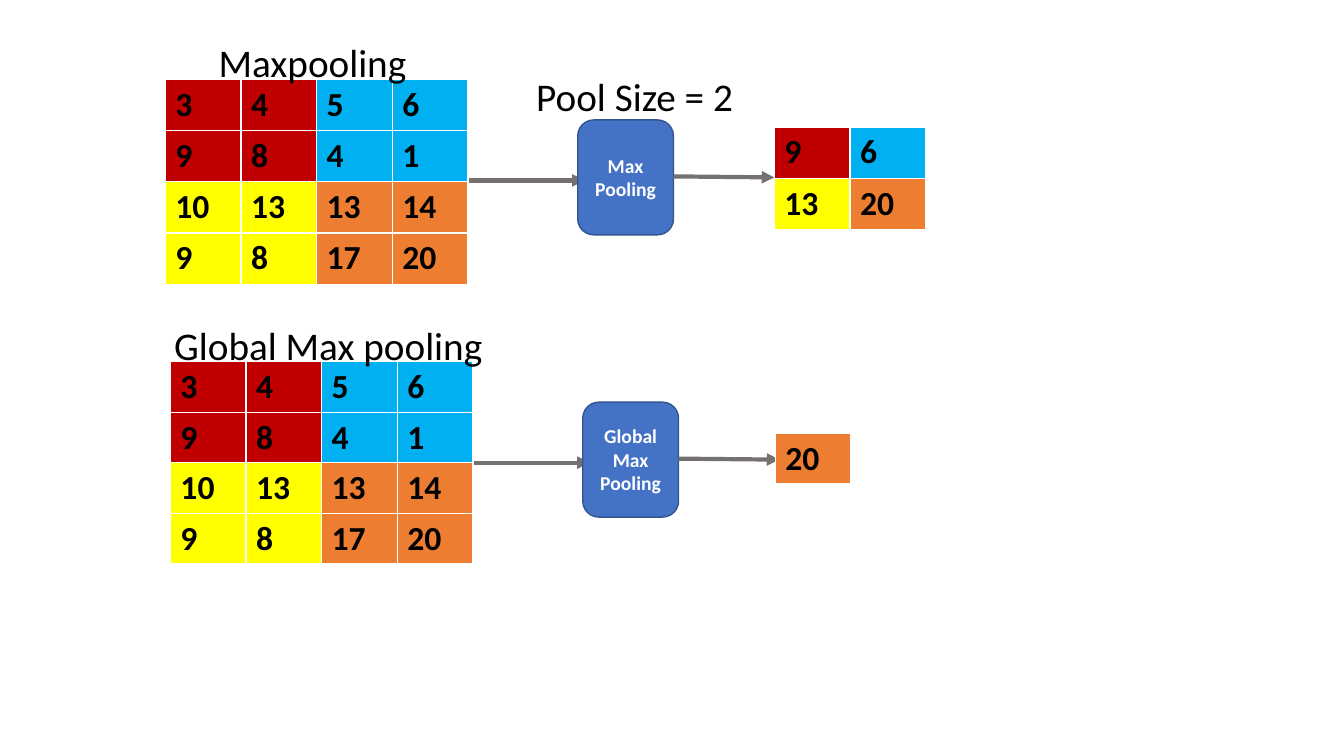
"""Build a slide that compares max pooling with global max pooling."""
from dataclasses import dataclass

from pptx import Presentation
from pptx.dml.color import RGBColor
from pptx.enum.shapes import MSO_CONNECTOR as Connector, MSO_SHAPE as Shape
from pptx.enum.text import MSO_ANCHOR as Anchor, PP_ALIGN as Align
from pptx.oxml.ns import qn
from pptx.slide import Slide
from pptx.text.text import TextFrame
from pptx.util import Inches, Pt


@dataclass(frozen=True)
class Theme:
    font: str = "Calibri"
    heading_size: int = 28
    cell_size: int = 24
    operation_size: int = 14
    text: str = "000000"
    operation_text: str = "FFFFFF"
    operation_fill: str = "4472C4"
    operation_line: str = "325491"
    arrow: str = "767171"
    top_left: str = "C00000"
    top_right: str = "00B0F0"
    bottom_left: str = "FFFF00"
    bottom_right: str = "ED7D31"


@dataclass(frozen=True)
class Heading:
    text: str
    left: float
    top: float
    width: float


@dataclass(frozen=True)
class Matrix:
    values: list[list[int]]
    fills: list[list[str]]
    left: float
    top: float


@dataclass(frozen=True)
class Stage:
    left: float
    top: float
    operation: str
    result: Matrix
    headings: list[Heading]


THEME = Theme()
CELL_WIDTH, CELL_HEIGHT = 0.75, 0.5
POOL_SIZE = 2
FEATURES = [[3, 4, 5, 6], [9, 8, 4, 1], [10, 13, 13, 14], [9, 8, 17, 20]]
WINDOW_FILLS = [[THEME.top_left, THEME.top_right],
                [THEME.bottom_left, THEME.bottom_right]]
FEATURE_FILLS = [[WINDOW_FILLS[row // POOL_SIZE][column // POOL_SIZE]
                  for column in range(4)] for row in range(4)]

STAGES = [
    Stage(1.64, 0.79, "Max Pooling",
          Matrix([[9, 6], [13, 20]], WINDOW_FILLS, 7.68, 1.26),
          [Heading("Pool Size = 2", 5.22, 0.67, 2.65),
           Heading("Maxpooling", 2.07, 0.33, 2.09)]),
    Stage(1.69, 3.59, "Global Max Pooling",
          Matrix([[20]], [[THEME.bottom_right]], 7.69, 4.3),
          [Heading("Global Max pooling", 1.63, 3.14, 3.64)]),
]


def write(frame: TextFrame, text: str, *, size: int, color: str = THEME.text,
          bold: bool = False, align: Align = Align.LEFT) -> None:
    """Put formatted text into a frame."""
    paragraph = frame.paragraphs[0]
    paragraph.alignment = align
    run = paragraph.add_run()
    run.text = text
    run.font.name = THEME.font
    run.font.size = Pt(size)
    run.font.bold = bold
    run.font.color.rgb = RGBColor.from_string(color)


def draw_heading(slide: Slide, heading: Heading) -> None:
    """Draw a heading above its part of the diagram."""
    label = slide.shapes.add_textbox(Inches(heading.left), Inches(heading.top),
                                     Inches(heading.width), Inches(0.57))
    label.text_frame.word_wrap = True
    write(label.text_frame, heading.text, size=THEME.heading_size)


def draw_matrix(slide: Slide, matrix: Matrix) -> None:
    """Draw a matrix as a table with coloured cells."""
    rows, columns = len(matrix.values), len(matrix.values[0])
    table = slide.shapes.add_table(
        rows, columns, Inches(matrix.left), Inches(matrix.top),
        Inches(columns * CELL_WIDTH), Inches(rows * CELL_HEIGHT)).table
    for row, (values, fills) in enumerate(zip(matrix.values, matrix.fills)):
        for column, (value, fill) in enumerate(zip(values, fills)):
            cell = table.cell(row, column)
            cell.fill.solid()
            cell.fill.fore_color.rgb = RGBColor.from_string(fill)
            write(cell.text_frame, str(value), size=THEME.cell_size, bold=True)


def draw_arrow(slide: Slide, start: tuple[float, float],
               end: tuple[float, float]) -> None:
    """Draw a straight arrow between two points."""
    arrow = slide.shapes.add_connector(
        Connector.STRAIGHT, *(Inches(length) for length in start + end))
    arrow.line.color.rgb = RGBColor.from_string(THEME.arrow)
    arrow.line.width = Pt(3)
    line = arrow.line._get_or_add_ln()
    line.append(line.makeelement(qn("a:tailEnd"), {"type": "triangle"}))
    properties = arrow._element.spPr
    properties.append(properties.makeelement(qn("a:effectLst"), {}))


def draw_operation(slide: Slide, text: str, left: float, top: float) -> None:
    """Draw the rounded box of a pooling operation."""
    box = slide.shapes.add_shape(Shape.ROUNDED_RECTANGLE, Inches(left), Inches(top),
                                 Inches(0.95), Inches(1.14))
    box.shadow.inherit = False
    box.fill.solid()
    box.fill.fore_color.rgb = RGBColor.from_string(THEME.operation_fill)
    box.line.color.rgb = RGBColor.from_string(THEME.operation_line)
    box.line.width = Pt(1)
    box.text_frame.word_wrap = True
    box.text_frame.vertical_anchor = Anchor.MIDDLE
    write(box.text_frame, text, size=THEME.operation_size,
          color=THEME.operation_text, bold=True, align=Align.CENTER)


def draw_stage(slide: Slide, stage: Stage) -> None:
    """Draw the path from the features through pooling to the result."""
    left, top = stage.left, stage.top
    draw_matrix(slide, Matrix(FEATURES, FEATURE_FILLS, left, top))
    draw_arrow(slide, (left + 3.01, top + 1), (left + 4.16, top + 1))
    draw_operation(slide, stage.operation, left + 4.09, top + 0.4)
    draw_arrow(slide, (left + 5.04, top + 0.96), (left + 6.04, top + 0.97))
    draw_matrix(slide, stage.result)
    for heading in stage.headings:
        draw_heading(slide, heading)


def main() -> None:
    """Create and save the presentation."""
    presentation = Presentation()
    presentation.slide_width = Inches(13.33)
    presentation.slide_height = Inches(7.5)
    slide = presentation.slides.add_slide(presentation.slide_layouts[6])
    for stage in STAGES:
        draw_stage(slide, stage)
    presentation.save("out.pptx")


if __name__ == "__main__":
    main()
